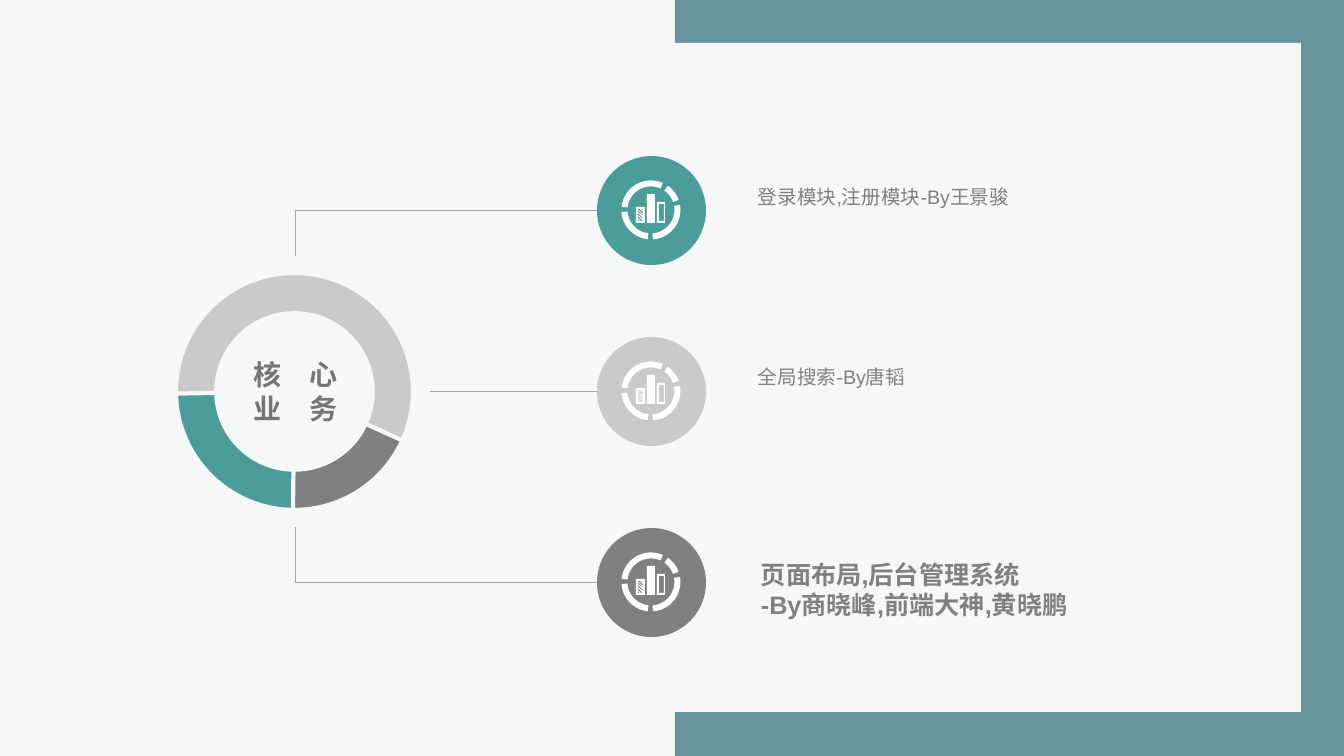
import math

import pptx
import pptx.dml.color
import pptx.enum.shapes
import pptx.enum.text
import pptx.oxml.ns
import pptx.oxml.xmlchemy
import pptx.util

# Content
COLORS = {
    "background": "F6F8F8", "frame": "1B5F6D", "teal": "4A9D9A",
    "light": "CACACA", "grey": "808080", "center": "757575",
    "line": "A6A6A6", "white": "FFFFFF",
}
CENTER_LABEL = ["核\u3000心", "业\u3000务"]
MODULES = [  # circle top, colour, label box, label lines, size, bold
    (156, "teal", (748, 180, 443, 34), ["登录模块,注册模块-By王景骏"], 14, False),
    (337, "light", (748, 360, 443, 34), ["全局搜索-By唐韬"], 14, False),
    (528, "grey", (751, 554, 330, 72),
     ["页面布局,后台管理系统", "-By商晓峰,前端大神,黄晓鹏"], 18, True),
]
RING_ARCS = [("grey", 211.17, 90.72), ("light", 178.95, 24.43)]  # degrees

# Icon outline in px around its centre
ICON_ARCS = [(96, 176), (-10, 86), (-55, -20), (186, 294)]  # degrees
ICON_RADII = (29.5, 23.5)
ICON_BARS = [(-15, -3, -6, 13), (-4, -16, 4, 13), (6, -8, 14, 13), (8, -6, 13, 11)]
ICON_HATCHES = [
    [(-13, 9), (-13, 11), (-11, 11)],
    [(-13, 6), (-13, 8), (-10, 11), (-8, 11)],
    [(-13, 3), (-13, 5), (-8, 9), (-8, 8)],
    [(-13, 0), (-13, 2), (-8, 6), (-8, 5)],
    [(-13, -1), (-8, 4), (-8, 2), (-11, -1)],
    [(-10, -1), (-8, 0), (-8, -1)],
]

# Geometry in px
WIDTH, HEIGHT = 1344, 756
SCALE = 12192000 / WIDTH
CIRCLE_LEFT, CIRCLE_SIZE = 597, 109
HALO = (159, 256, 271, 271)
RING = (176, 273, 237, 237)
RING_X = 295
ICON_GRID = 10  # outline steps per px

KINDS = pptx.enum.shapes.MSO_SHAPE
LINES = pptx.enum.shapes.MSO_CONNECTOR
ALIGN = pptx.enum.text.PP_ALIGN


def emu(*lengths):
    return [pptx.util.Emu(round(length * SCALE)) for length in lengths]


def color(name):
    return pptx.dml.color.RGBColor.from_string(COLORS[name])


def paint(shape, fill, outline=None):
    shape.shadow.inherit = False
    shape.fill.solid()
    shape.fill.fore_color.rgb = color(fill)
    if outline:
        shape.line.color.rgb = color(outline)
        shape.line.width = pptx.util.Pt(3)
    else:
        shape.line.fill.background()
    return shape


def add_shape(slide, kind, box, fill, outline=None):
    return paint(slide.shapes.add_shape(kind, *emu(*box)), fill, outline)


def add_label(slide, box, lines, size, bold, fill, align=ALIGN.LEFT):
    text_frame = slide.shapes.add_textbox(*emu(*box)).text_frame
    text_frame.word_wrap = True
    text_frame.text = "\n".join(lines)
    for paragraph in text_frame.paragraphs:
        paragraph.alignment = align
        for run in paragraph.runs:
            run.font.name = "Arial"
            run.font.size = pptx.util.Pt(size)
            run.font.bold = bold
            run.font.color.rgb = color(fill)


def add_line(slide, kind, start, end):
    connector = slide.shapes.add_connector(kind, *emu(*start, *end))
    connector.line.color.rgb = color("line")
    connector.line.width = pptx.util.Pt(0.5)
    properties = connector._element.spPr
    properties.append(pptx.oxml.xmlchemy.OxmlElement("a:effectLst"))
    if kind == LINES.ELBOW:  # a single corner
        properties.find(pptx.oxml.ns.qn("a:prstGeom")).set("prst", "bentConnector2")


def arc_outline(start, end, steps=20):
    angles = [math.radians(start + (end - start) * i / steps) for i in range(steps + 1)]
    outer, inner = ICON_RADII
    return ([(outer * math.cos(a), outer * math.sin(a)) for a in angles]
            + [(inner * math.cos(a), inner * math.sin(a)) for a in reversed(angles)])


def add_icon(slide, center_x, center_y):
    outlines = [arc_outline(*arc) for arc in ICON_ARCS]
    outlines += [[(l, t), (r, t), (r, b), (l, b)] for l, t, r, b in ICON_BARS]
    outlines += ICON_HATCHES
    outlines = [[(x * ICON_GRID, y * ICON_GRID) for x, y in points] for points in outlines]
    builder = slide.shapes.build_freeform(*outlines[0][0], scale=SCALE / ICON_GRID)
    for index, points in enumerate(outlines):
        if index:
            builder.move_to(*points[0])
        builder.add_line_segments(points[1:], close=True)
    paint(builder.convert_to_shape(*emu(center_x, center_y)), "white")


def main():
    presentation = pptx.Presentation()
    presentation.slide_width, presentation.slide_height = emu(WIDTH, HEIGHT)
    slide = presentation.slides.add_slide(presentation.slide_layouts[6])
    slide.background.fill.solid()
    slide.background.fill.fore_color.rgb = color("background")

    # Frame: translucent half slide under a plain panel
    half = add_shape(slide, KINDS.RECTANGLE, (675, 0, 669, HEIGHT), "frame")
    alpha = pptx.oxml.xmlchemy.OxmlElement("a:alpha")
    alpha.set("val", "65000")
    half._element.spPr.find(".//" + pptx.oxml.ns.qn("a:srgbClr")).append(alpha)
    add_shape(slide, KINDS.RECTANGLE, (42, 43, 1259, 669), "background")

    # Ring with its centre label
    add_shape(slide, KINDS.OVAL, HALO, "background")
    donut = add_shape(slide, KINDS.DONUT, RING, "teal", "background")
    donut.adjustments[0] = 0.17
    for fill, start, end in RING_ARCS:
        arc = add_shape(slide, KINDS.BLOCK_ARC, RING, fill, "background")
        arc.adjustments[0] = start * 0.6  # 60000 units a degree, over 100000
        arc.adjustments[1] = end * 0.6
        arc.adjustments[2] = 0.17
    add_label(slide, (242, 353, 108, 78), CENTER_LABEL, 20, True, "center", ALIGN.CENTER)

    # Modules: connector, circle, icon and label
    halo_left, halo_top, halo_width, halo_height = HALO
    line_ends = [
        (LINES.ELBOW, (RING_X, halo_top)),
        (LINES.STRAIGHT, (halo_left + halo_width, 391)),
        (LINES.ELBOW, (RING_X, halo_top + halo_height)),
    ]
    for module, (kind, end) in zip(MODULES, line_ends):
        top, fill, box, lines, size, bold = module
        middle = top + CIRCLE_SIZE // 2
        add_line(slide, kind, (CIRCLE_LEFT, middle), end)
        add_shape(slide, KINDS.OVAL, (CIRCLE_LEFT, top, CIRCLE_SIZE, CIRCLE_SIZE), fill)
        add_icon(slide, CIRCLE_LEFT + CIRCLE_SIZE // 2, middle)
        add_label(slide, box, lines, size, bold, "grey")

    presentation.save("out.pptx")


if __name__ == "__main__":
    main()
